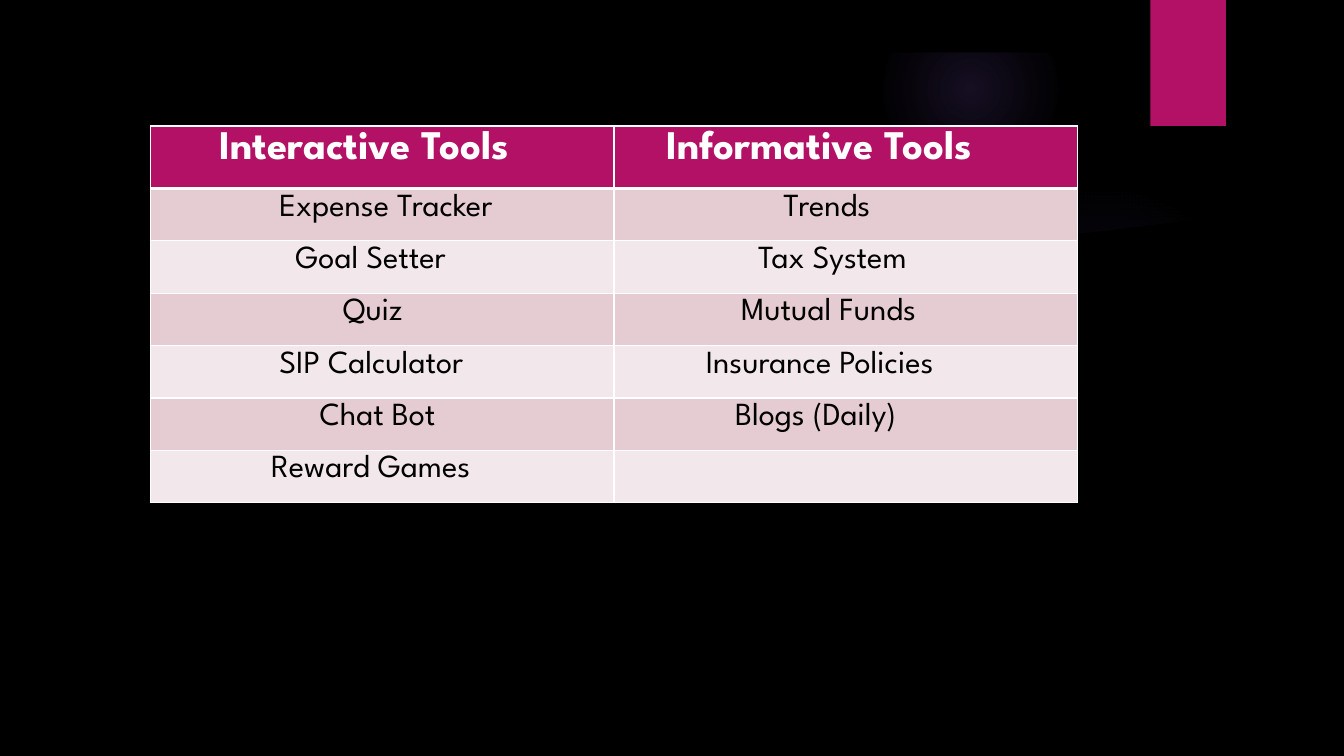
from lxml import etree
from pptx import Presentation
from pptx.dml.color import RGBColor
from pptx.enum import shapes as sh
from pptx.oxml import parse_xml
from pptx.oxml.ns import nsdecls, qn
from pptx.util import Inches, Pt

BLACK = RGBColor(0x00, 0x00, 0x00)
WHITE = RGBColor(0xFF, 0xFF, 0xFF)
PINK = RGBColor(0xB3, 0x11, 0x66)
ROSE = RGBColor(0xE5, 0xCC, 0xD3)
PALE = RGBColor(0xF2, 0xE7, 0xEA)
VIOLET = RGBColor(0x9B, 0x6B, 0xF2)
FONT = "League Spartan"

# Each cell: text and left indent in inches
ROWS = [
    [("Interactive Tools", 0.69), ("Informative Tools", 0.52)],
    [("Expense Tracker", 1.28), ("Trends", 1.68)],
    [("Goal Setter", 1.44), ("Tax System", 1.43)],
    [("Quiz", 1.91), ("Mutual Funds", 1.26)],
    [("SIP Calculator", 1.28), ("Insurance Policies", 0.91)],
    [("Chat Bot", 1.68), ("Blogs (Daily)", 1.2)],
    [("Reward Games", 1.2), ("", 0.1)],
]
CURVE = [(0.5, 2.04), (2.49, 2.27), (4.44, 2.41), (6.82, 2.48), (8.94, 2.44),
         (10.04, 2.37), (10.88, 2.3), (11.72, 2.2), (12.84, 2.04)]


def paint(shape, color):
    shape.shadow.inherit = False
    shape.fill.solid()
    shape.fill.fore_color.rgb = color
    shape.line.fill.background()


def block(slide, kind, box, color):
    shape = slide.shapes.add_shape(kind, *map(Inches, box))
    paint(shape, color)
    return shape


def glow(slide, left, top, size, stops):
    """Draw a round light; stops are (position, opacity) in percent."""
    shape = block(slide, sh.MSO_SHAPE.OVAL, (left, top, size, size), VIOLET)
    marks = "".join(
        f'<a:gs pos="{pos * 1000}"><a:srgbClr val="{VIOLET}">'
        f'<a:alpha val="{alpha * 1000}"/></a:srgbClr></a:gs>'
        for pos, alpha in stops)
    grad = parse_xml(
        f'<a:gradFill {nsdecls("a")}><a:gsLst>{marks}</a:gsLst>'
        '<a:path path="circle"><a:fillToRect l="50000" t="50000" '
        'r="50000" b="50000"/></a:path></a:gradFill>')
    props = shape.element.spPr
    props.replace(props.find(qn("a:solidFill")), grad)


def panel(slide):
    """Draw the dark panel whose top edge sags in the middle."""
    points = [(Inches(x), Inches(y)) for x, y in CURVE + [(12.84, 7), (0.5, 7)]]
    build = slide.shapes.build_freeform(*points[0])
    build.add_line_segments(points[1:], close=True)
    paint(build.convert_to_shape(), BLACK)


def write(frame, words, size=23, color=BLACK, bold=False):
    run = frame.paragraphs[0].add_run()
    run.text = words
    run.font.name = FONT
    run.font.size = Pt(size)
    run.font.bold = bold
    run.font.color.rgb = color


def border(cell, **widths):
    props = cell._tc.get_or_add_tcPr()
    for side in "LRTB":
        line = etree.SubElement(props, qn("a:ln" + side),
                                w=str(Pt(widths.get(side, 1))))
        fill = etree.SubElement(line, qn("a:solidFill"))
        etree.SubElement(fill, qn("a:srgbClr"), val=str(WHITE))


def tools(slide):
    table = slide.shapes.add_table(len(ROWS), 2, Inches(1.49), Inches(1.25),
                                   Inches(9.2), Inches(3.75)).table
    for col in table.columns:
        col.width = Inches(4.6)
    for i, row in enumerate(ROWS):
        head = i == 0
        table.rows[i].height = Inches(0.62 if head else 0.52)
        for j, (words, indent) in enumerate(row):
            cell = table.cell(i, j)
            cell.margin_left = Inches(indent)
            border(cell, T=3 if i == 1 else 1, B=3 if head else 1)
            cell.fill.solid()
            cell.fill.fore_color.rgb = PINK if head else ROSE if i % 2 else PALE
            if head:
                write(cell.text_frame, words, size=29, color=WHITE, bold=True)
            elif words:
                write(cell.text_frame, words)


def main():
    deck = Presentation()
    deck.slide_width, deck.slide_height = Inches(13.33), Inches(7.5)
    slide = deck.slides.add_slide(deck.slide_layouts[6])
    slide.background.fill.solid()
    slide.background.fill.fore_color.rgb = BLACK
    glow(slide, 9.41, 1.83, 3.08, [(0, 7), (36, 6), (69, 0), (100, 0)])
    glow(slide, 8.75, 0.01, 1.75, [(0, 14), (36, 7), (73, 0), (100, 0)])
    panel(slide)
    block(slide, sh.MSO_SHAPE.RECTANGLE, (0, 0, 13.33, 0.52), BLACK)
    block(slide, sh.MSO_SHAPE.RECTANGLE, (11.41, 0, 0.75, 1.25), PINK)
    tools(slide)
    deck.save("out.pptx")


if __name__ == "__main__":
    main()
